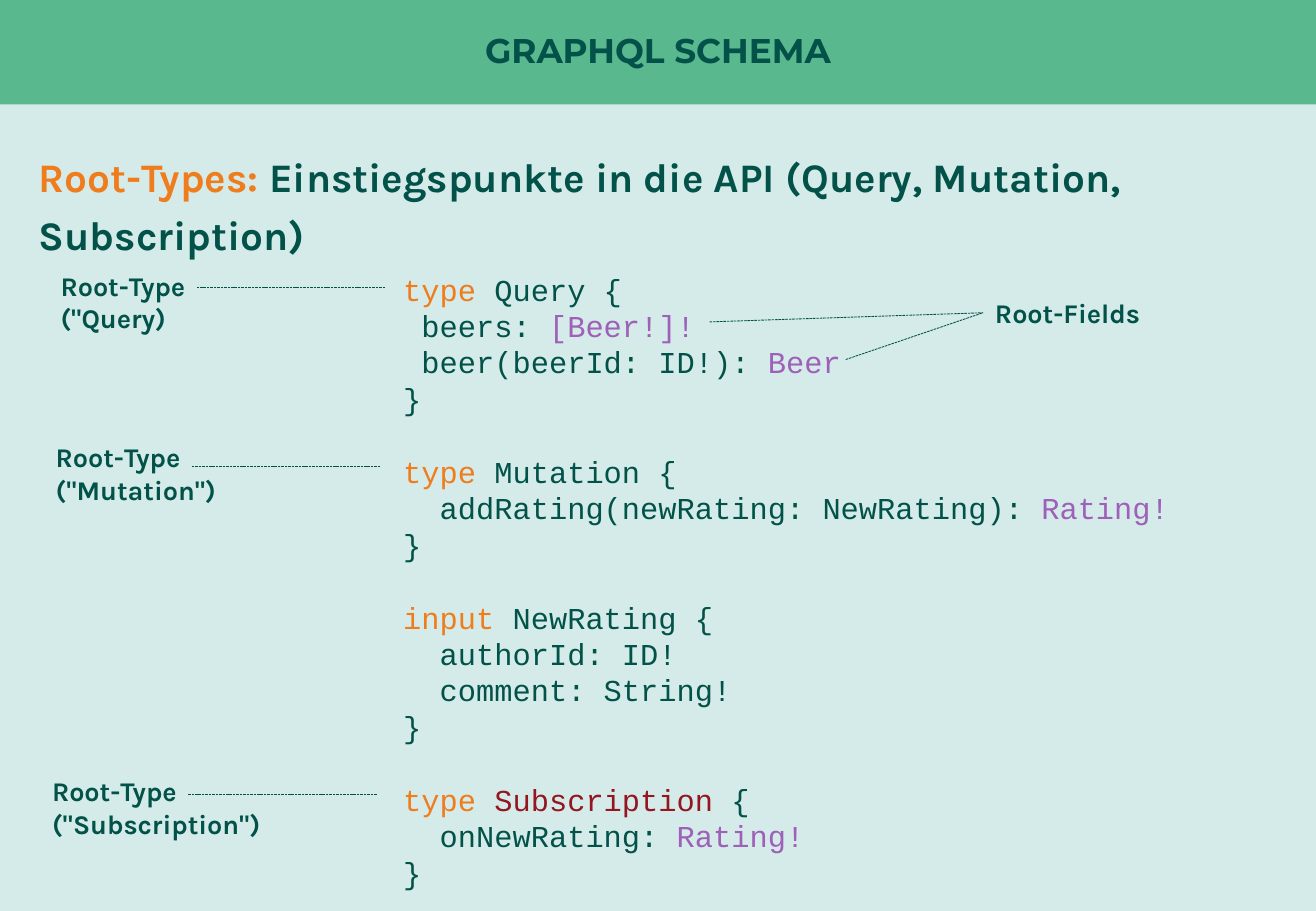
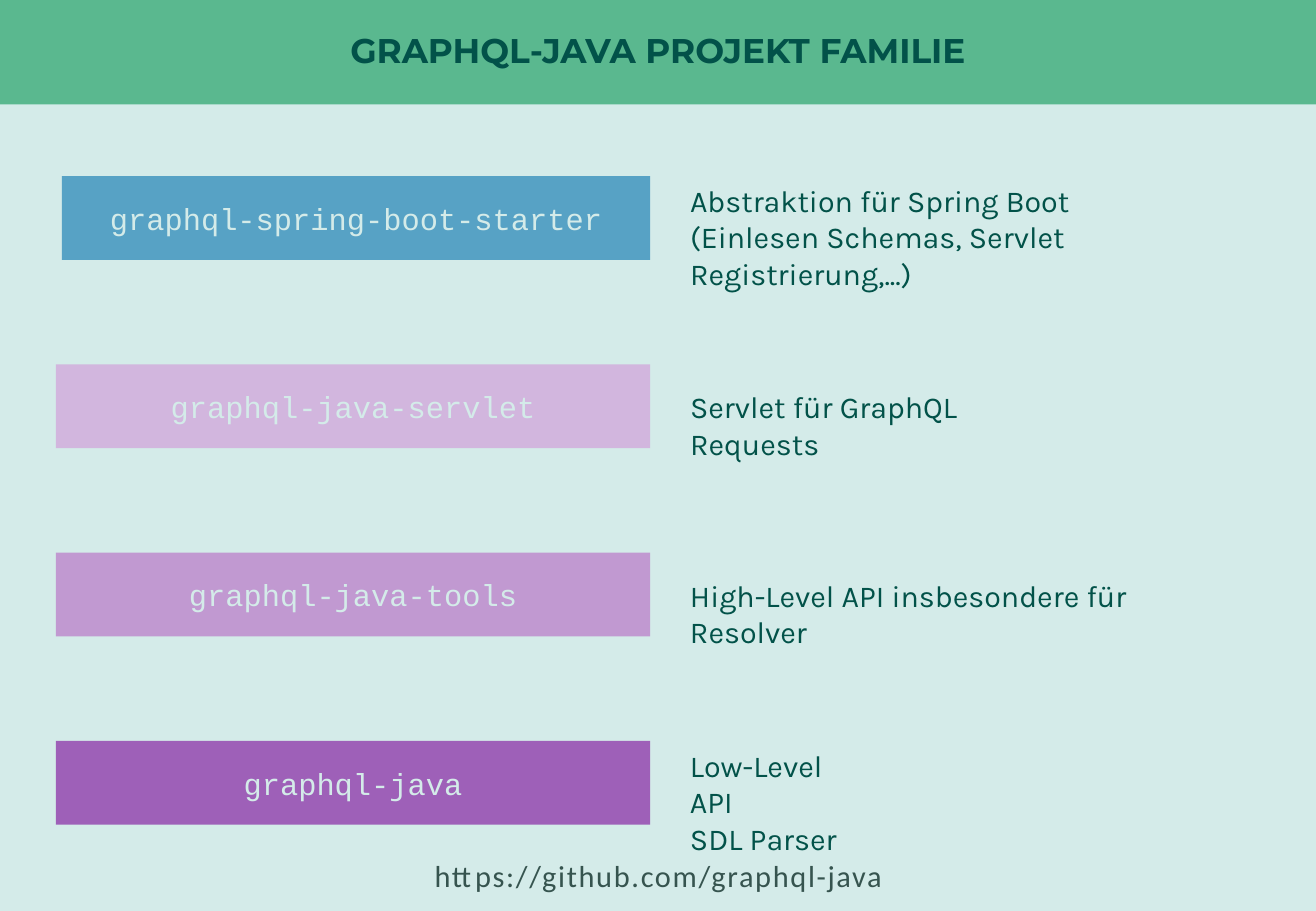
"""Build two slides on the GraphQL schema root types and the graphql-java project family."""
from lxml import etree
from pptx import Presentation
from pptx.dml.color import RGBColor
from pptx.enum.dml import MSO_LINE
from pptx.enum.shapes import MSO_CONNECTOR, MSO_SHAPE
from pptx.enum.text import MSO_ANCHOR, PP_ALIGN
from pptx.oxml.ns import qn
from pptx.util import Inches, Pt

THEME = {
    "colours": {
        "background": "D4EBE9", "band": "5AB88F", "dark": "025249", "orange": "EF7D1D",
        "purple": "9E60B8", "red": "931621", "blue": "57A2C5", "lilac": "D2B6DE",
        "mauve": "C199D1", "link": "36544F",
    },
    "styles": {
        "title": {"name": "Montserrat", "size": Pt(20.3), "bold": True},
        "heading": {"name": "Karla", "size": Pt(24), "bold": True},
        "label": {"name": "Karla", "size": Pt(16), "bold": True},
        "body": {"name": "Karla", "size": Pt(18)},
        "code": {"name": "Courier New", "size": Pt(18)},
        "link": {"name": "Calibri", "size": Pt(18)},
    },
}
COLOURS = {name: RGBColor.from_string(value) for name, value in THEME["colours"].items()}


def add_text(slide, box, paragraphs, style, fill=None, **paragraph_format):
    """Add a text box, or a filled rectangle, whose paragraphs are lists of (text, colour)."""
    box = [Inches(length) for length in box]
    if fill:
        shape = slide.shapes.add_shape(MSO_SHAPE.RECTANGLE, *box)
        shape.shadow.inherit = False
        shape.fill.solid()
        shape.fill.fore_color.rgb = COLOURS[fill]
        shape.line.fill.background()
    else:
        shape = slide.shapes.add_textbox(*box)
    frame = shape.text_frame
    frame.word_wrap = True
    frame.vertical_anchor = MSO_ANCHOR.MIDDLE if fill else MSO_ANCHOR.TOP
    for index, runs in enumerate(paragraphs):
        paragraph = frame.add_paragraph() if index else frame.paragraphs[0]
        for attribute, value in paragraph_format.items():
            setattr(paragraph, attribute, value)
        for text, colour in runs:
            run = paragraph.add_run()
            run.text = text
            run.font.color.rgb = COLOURS[colour]
            for attribute, value in THEME["styles"][style].items():
                setattr(run.font, attribute, value)
    return shape


def add_dashed_line(slide, start, end):
    """Add a thin dashed connector between two points."""
    points = [Inches(length) for length in (*start, *end)]
    connector = slide.shapes.add_connector(MSO_CONNECTOR.STRAIGHT, *points)
    connector.line.color.rgb = COLOURS["dark"]
    connector.line.width = Pt(0.5)
    connector.line.dash_style = MSO_LINE.SQUARE_DOT
    etree.SubElement(connector._element.spPr, qn("a:effectLst"))
    return connector


presentation = Presentation()
presentation.slide_width = Inches(10.83)
presentation.slide_height = Inches(7.5)

slides = []
for title in ("GRAPHQL SCHEMA", "GRAPHQL-JAVA PROJEKT FAMILIE"):
    slide = presentation.slides.add_slide(presentation.slide_layouts[6])
    slide.background.fill.solid()
    slide.background.fill.fore_color.rgb = COLOURS["background"]
    band = add_text(slide, (0, 0, 10.83, 0.86), [[(title, "dark")]], "title", "band",
                    alignment=PP_ALIGN.CENTER, line_spacing=0.9)
    for side in ("left", "top", "right", "bottom"):
        setattr(band.text_frame, f"margin_{side}", 0)
    slides.append(slide)
schema_slide, family_slide = slides

heading = [
    ("Root-Types: ", "orange"),
    ("Einstiegspunkte in die API (Query, Mutation, Subscription)", "dark"),
]
add_text(schema_slide, (0.22, 1.12, 10.39, 1.1), [heading], "heading", line_spacing=1.2)

code_blocks = [
    [
        [("type", "orange"), (" Query {", "dark")],
        [(" beers: ", "dark"), ("[Beer!]!", "purple")],
        [(" beer(beerId: ID!): ", "dark"), ("Beer", "purple")],
        [("}", "dark")],
    ],
    [
        [("type", "orange"), (" Mutation {", "dark")],
        [("  addRating(newRating: NewRating): ", "dark"), ("Rating!", "purple")],
        [("}", "dark")],
    ],
    [
        [("input ", "orange"), ("NewRating {", "dark")],
        [("  authorId: ID!", "dark")],
        [("  comment: String!", "dark")],
        [("}", "dark")],
    ],
    [
        [("type ", "orange"), ("Subscription", "red"), (" {", "dark")],
        [("  onNewRating: ", "dark"), ("Rating!", "purple")],
        [("}", "dark")],
    ],
]
code_lines = [line for block in code_blocks for line in block]
code = add_text(schema_slide, (3.22, 2.18, 6.88, 5.2), code_lines, "code", line_spacing=Pt(21.6))
block_start = 0
for block in code_blocks[:-1]:
    block_start += len(block)
    code.text_frame.paragraphs[block_start].space_before = Pt(21.6)

root_types = [
    ('("Query)', 0.4, 2.17, 2.37),
    ('("Mutation")', 0.36, 3.58, 3.84),
    ('("Subscription")', 0.33, 6.33, 6.54),
]
for name, left, top, line_top in root_types:
    add_text(schema_slide, (left, top, 3.2, 0.64),
             [[("Root-Type", "dark")], [(name, "dark")]], "label")
    add_dashed_line(schema_slide, (left + 2.77, line_top), (left + 1.22, line_top))

root_fields = add_text(schema_slide, (8.09, 2.39, 2.6, 0.37), [[("Root-Fields", "dark")]], "label")
for field_end in ((5.84, 2.65), (6.96, 2.96)):
    connector = add_dashed_line(schema_slide, field_end, (8.09, 2.57))
    connector.end_connect(root_fields, 1)

projects = [
    ("graphql-spring-boot-starter", "blue", 0.51, 0, 4.82,
     ["Abstraktion für Spring Boot", "(Einlesen Schemas, Servlet Registrierung,...)"]),
    ("graphql-java-servlet", "lilac", 0.46, 0.15, 3.42, ["Servlet für GraphQL Requests"]),
    ("graphql-java-tools", "mauve", 0.46, 0.15, 4.5, ["High-Level API insbesondere für Resolver"]),
    ("graphql-java", "purple", 0.46, 0, 1.6, ["Low-Level API", "SDL Parser"]),
]
for row, (name, fill, left, text_offset, text_width, description) in enumerate(projects):
    top = 1.45 + 1.55 * row
    add_text(family_slide, (left, top, 5.35 - left, 0.69), [[(name, "background")]], "code", fill,
             alignment=PP_ALIGN.CENTER)
    add_text(family_slide, (5.58, top + text_offset, text_width, 0.71),
             [[(text, "dark")] for text in description], "body")

link = add_text(family_slide, (2.92, 7.01, 5, 0.4), [[("https://github.com/graphql-java", "link")]],
                "link", alignment=PP_ALIGN.CENTER)
link.text_frame.paragraphs[0].runs[0].font._element.set("spc", "100")

presentation.save("out.pptx")
